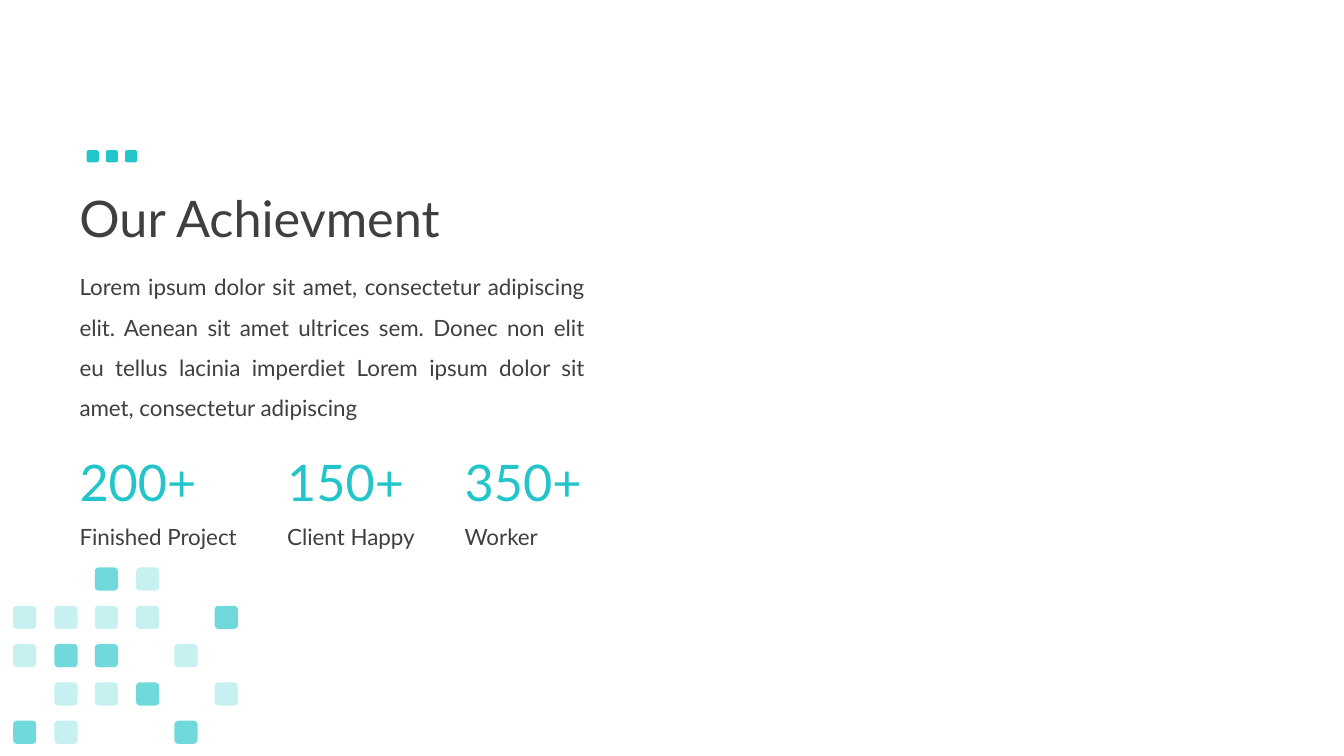
from lxml import etree
from pptx import Presentation
from pptx.dml.color import RGBColor
from pptx.enum.shapes import MSO_SHAPE
from pptx.enum.text import MSO_ANCHOR, PP_ALIGN
from pptx.oxml.ns import qn
from pptx.util import Inches, Pt

ROUNDED = MSO_SHAPE.ROUNDED_RECTANGLE
TOP, MIDDLE = MSO_ANCHOR.TOP, MSO_ANCHOR.MIDDLE
LEFT, JUSTIFY = PP_ALIGN.LEFT, PP_ALIGN.JUSTIFY

TEAL, GRAY = "23C5CA", "3F3F3F"
MARGIN = 0.69
HEADING = {"name": "Lato", "size": Pt(36)}
BODY = {"name": "Lato", "size": Pt(16)}

STORY = (
    "Lorem ipsum dolor sit amet, consectetur adipiscing elit. "
    "Aenean sit amet ultrices sem. Donec non elit eu tellus lacinia imperdiet "
    "Lorem ipsum dolor sit amet, consectetur adipiscing"
)
ACHIEVEMENTS = [
    (MARGIN, "200+", "Finished Project"),
    (2.75, "150+", "Client Happy"),
    (4.51, "350+", "Worker"),
]

MOSAIC = ["..#o..", "oooo.#", "o##.o.", ".oo#.o", "#o..#."]
MOSAIC_OPACITY = {"#": 65, "o": 25}
MOSAIC_COLUMNS = [0.13, 0.54, 0.94, 1.35, 1.73, 2.13]
MOSAIC_TOP, MOSAIC_ROW, MOSAIC_TILE = 5.63, 0.38, 0.23
DOT_LEFT, DOT_TOP, DOT_STEP, DOT_SIZE = 0.86, 1.49, 0.19, 0.12


def color(value):
    return RGBColor.from_string(value)


def add_text(page, bounds, text, font, ink, anchor=TOP, align=LEFT, spacing=1.0):
    box = page.shapes.add_textbox(*map(Inches, bounds))
    frame = box.text_frame
    frame.word_wrap = True
    frame.vertical_anchor = anchor
    para = frame.paragraphs[0]
    para.alignment = align
    para.line_spacing = spacing
    span = para.add_run()
    span.text = text
    for name, value in font.items():
        setattr(span.font, name, value)
    span.font.color.rgb = color(ink)


def add_tile(group, left, top, size, opacity=100):
    tile = group.shapes.add_shape(ROUNDED, *map(Inches, (left, top, size, size)))
    tile.shadow.inherit = False
    tile.fill.solid()
    tile.fill.fore_color.rgb = color(TEAL)
    tile.line.fill.background()
    if opacity < 100:
        shade = tile.fill._xPr.find(qn("a:solidFill"))[0]
        etree.SubElement(shade, qn("a:alpha")).set("val", str(opacity * 1000))


def add_mosaic(page):
    group = page.shapes.add_group_shape()
    for row, pattern in enumerate(MOSAIC):
        for left, mark in zip(MOSAIC_COLUMNS, pattern):
            if mark in MOSAIC_OPACITY:
                top = MOSAIC_TOP + row * MOSAIC_ROW
                add_tile(group, left, top, MOSAIC_TILE, MOSAIC_OPACITY[mark])


def add_dots(page):
    group = page.shapes.add_group_shape()
    for index in range(3):
        add_tile(group, DOT_LEFT + index * DOT_STEP, DOT_TOP, DOT_SIZE)


def add_achievement(page, left, number, label):
    add_text(page, (left, 4.43, 1.59, 0.71), number, HEADING, TEAL)
    add_text(page, (left, 5.14, 2.35, 0.37), label, BODY, GRAY)


def main():
    deck = Presentation()
    deck.slide_width, deck.slide_height = Inches(13.33), Inches(7.5)
    page = deck.slides.add_slide(deck.slide_layouts[6])
    add_text(page, (MARGIN, 1.47, 11.5, 1.45), "Our Achievment", HEADING, GRAY,
             anchor=MIDDLE, spacing=0.9)
    for achievement in ACHIEVEMENTS:
        add_achievement(page, *achievement)
    add_text(page, (MARGIN, 2.53, 5.21, 1.66), STORY, BODY, GRAY,
             align=JUSTIFY, spacing=1.5)
    add_mosaic(page)
    add_dots(page)
    deck.save("out.pptx")


if __name__ == "__main__":
    main()
